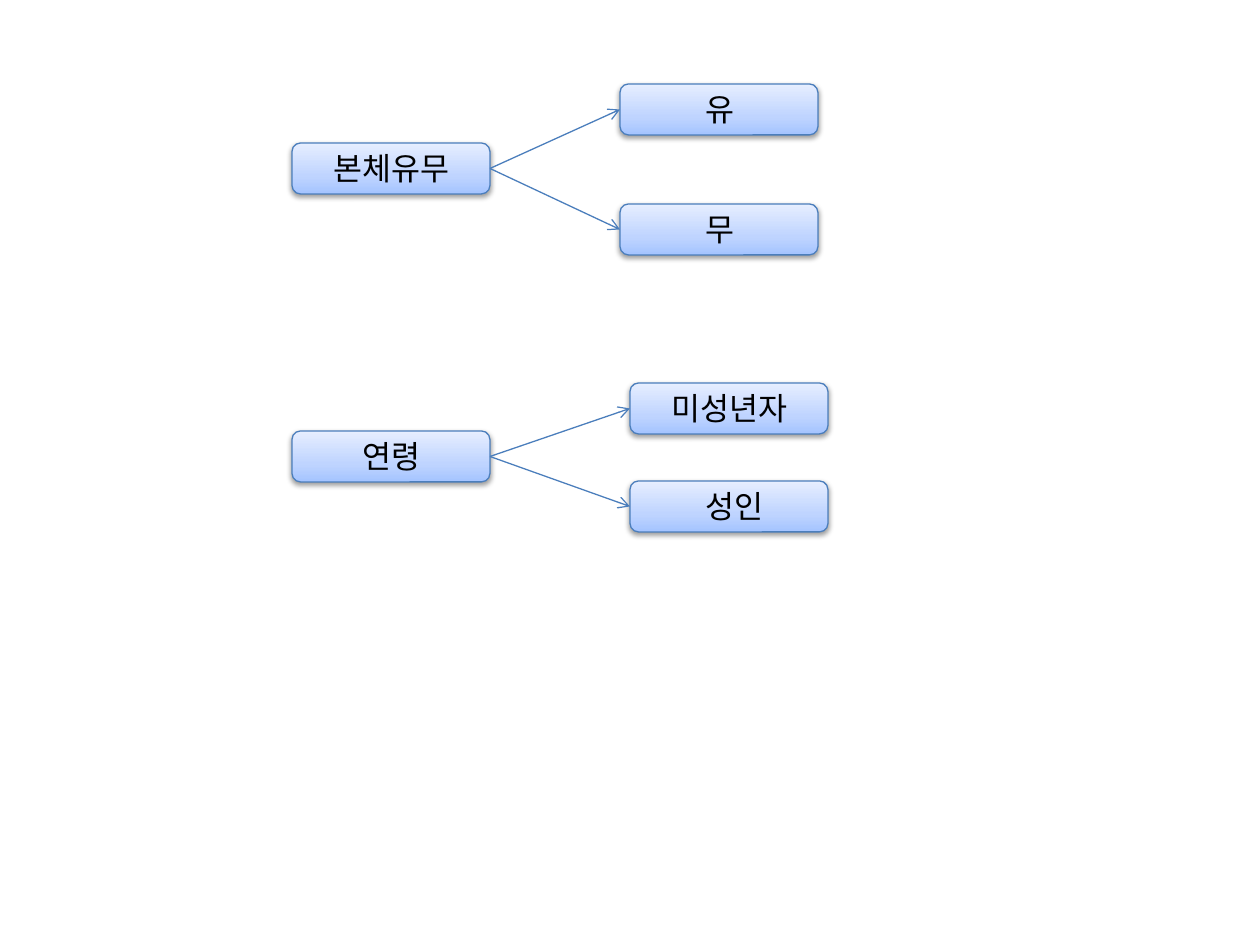
from dataclasses import dataclass

from lxml import etree
from pptx import Presentation
from pptx.dml.color import RGBColor
from pptx.enum.shapes import MSO_CONNECTOR, MSO_SHAPE
from pptx.enum.text import MSO_ANCHOR, MSO_AUTO_SIZE, PP_ALIGN
from pptx.oxml.ns import qn
from pptx.util import Emu, Pt

ROUNDED = MSO_SHAPE.ROUNDED_RECTANGLE
STRAIGHT = MSO_CONNECTOR.STRAIGHT
LEFT_SITE, RIGHT_SITE = 1, 3


@dataclass(frozen=True)
class Theme:
    font: str = "Noto Sans CJK KR"
    text_size: float = 18
    text: str = "000000"
    outline: str = "4B7EBC"
    outline_width: float = 0.75
    gradient: tuple = ((0, "A4C4FF"), (35, "BFD4FF"), (100, "E6EEFF"))
    shadow: str = "000000"
    shadow_opacity: int = 38
    shadow_blur: float = 3.1
    shadow_distance: float = 1.6


THEME = Theme()
SCALE = 914400 // 126
SLIDE_SIZE = (1260, 945)
NODE_WIDTH, NODE_HEIGHT = 198, 51
ROOT_LEFT = 292
LABEL_INSET = 20
LABEL_WIDTH = 159

BRANCHES = [
    {"root": ("본체유무", 143), "leaf_left": 620,
     "leaves": [("유", 84), ("무", 204)]},
    {"root": ("연령", 431), "leaf_left": 630,
     "leaves": [("미성년자", 383), ("성인", 481)]},
]
LABEL_SPANS = {"성인": (10, 189)}


def px(value):
    return Emu(round(value * SCALE))


def box(*values):
    return [px(value) for value in values]


def add_xml(parent, tag, **attributes):
    return etree.SubElement(parent, qn(tag), attributes)


def style_outline(line):
    line.color.rgb = RGBColor.from_string(THEME.outline)
    line.width = Pt(THEME.outline_width)


def add_node(shapes, left, top):
    node = shapes.add_shape(ROUNDED, *box(left, top, NODE_WIDTH, NODE_HEIGHT))
    node.fill.gradient()
    node.fill.gradient_angle = 90
    stops = node.element.spPr.find(".//" + qn("a:gsLst"))
    for stop in list(stops):
        stops.remove(stop)
    for position, color in THEME.gradient:
        stop = add_xml(stops, "a:gs", pos=str(position * 1000))
        add_xml(stop, "a:srgbClr", val=color)
    style_outline(node.line)
    node.shadow.inherit = False
    effects = node.element.spPr.find(qn("a:effectLst"))
    shadow = add_xml(effects, "a:outerShdw", blurRad=str(Pt(THEME.shadow_blur)),
                     dist=str(Pt(THEME.shadow_distance)), dir="5400000",
                     rotWithShape="0")
    color = add_xml(shadow, "a:srgbClr", val=THEME.shadow)
    add_xml(color, "a:alpha", val=str(THEME.shadow_opacity * 1000))
    return node


def add_label(shapes, wording, left, top):
    inset, width = LABEL_SPANS.get(wording, (LABEL_INSET, LABEL_WIDTH))
    label = shapes.add_textbox(*box(left + inset, top, width, NODE_HEIGHT))
    frame = label.text_frame
    frame.word_wrap = True
    frame.auto_size = MSO_AUTO_SIZE.SHAPE_TO_FIT_TEXT
    frame.vertical_anchor = MSO_ANCHOR.TOP
    paragraph = frame.paragraphs[0]
    paragraph.alignment = PP_ALIGN.CENTER
    run = paragraph.add_run()
    run.text = wording
    run.font.size = Pt(THEME.text_size)
    run.font.color.rgb = RGBColor.from_string(THEME.text)
    run.font.name = THEME.font
    add_xml(run.font._element, "a:ea", typeface=THEME.font)


def add_arrow(shapes, root, leaf):
    arrow = shapes.add_connector(STRAIGHT, 0, 0, 0, 0)
    arrow.begin_connect(root, RIGHT_SITE)
    arrow.end_connect(leaf, LEFT_SITE)
    style_outline(arrow.line)
    properties = arrow.element.spPr
    add_xml(properties.find(qn("a:ln")), "a:tailEnd", type="arrow")
    add_xml(properties, "a:effectLst")


def add_branch(shapes, branch):
    entries = [(*branch["root"], ROOT_LEFT)]
    entries += [(*leaf, branch["leaf_left"]) for leaf in branch["leaves"]]
    root, *leaves = [add_node(shapes, left, top) for _, top, left in entries]
    for wording, top, left in entries:
        add_label(shapes, wording, left, top)
    for leaf in leaves:
        add_arrow(shapes, root, leaf)


presentation = Presentation()
presentation.slide_width, presentation.slide_height = box(*SLIDE_SIZE)
slide = presentation.slides.add_slide(presentation.slide_layouts[6])
for branch in reversed(BRANCHES):
    add_branch(slide.shapes, branch)
presentation.save("out.pptx")
